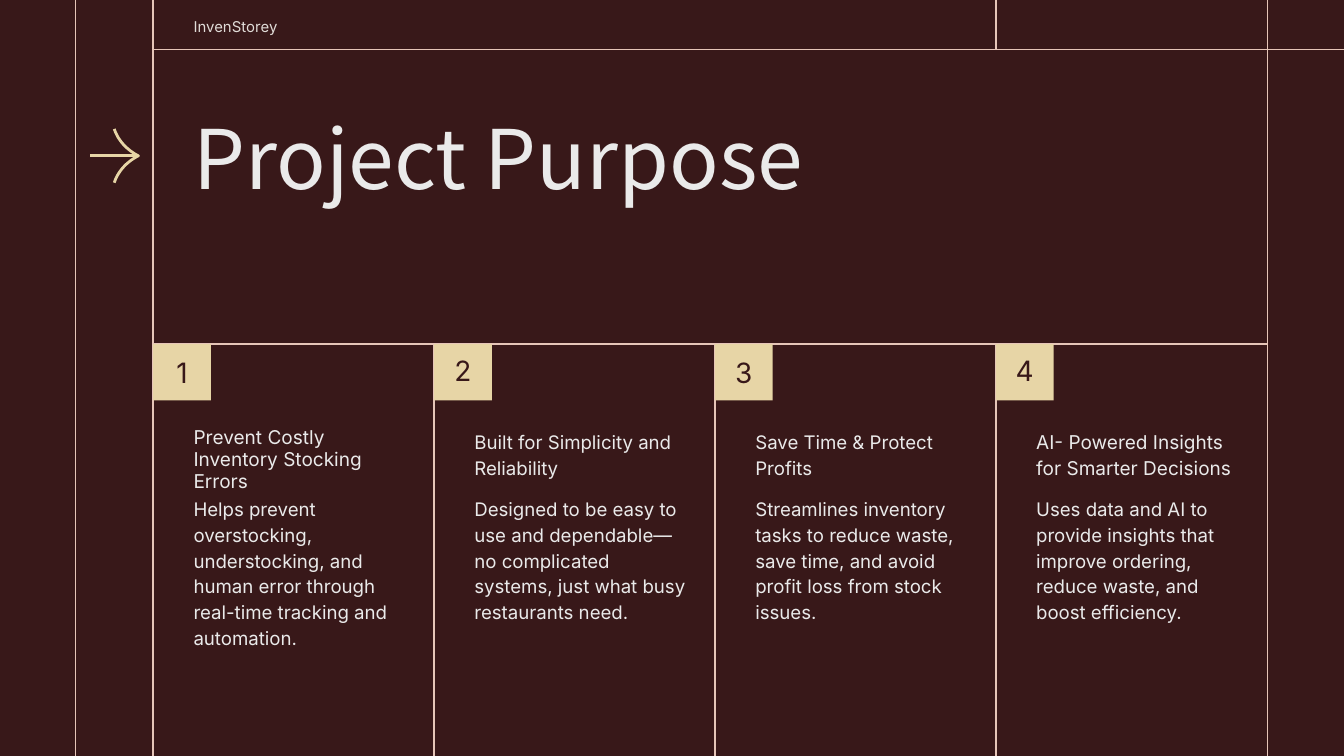
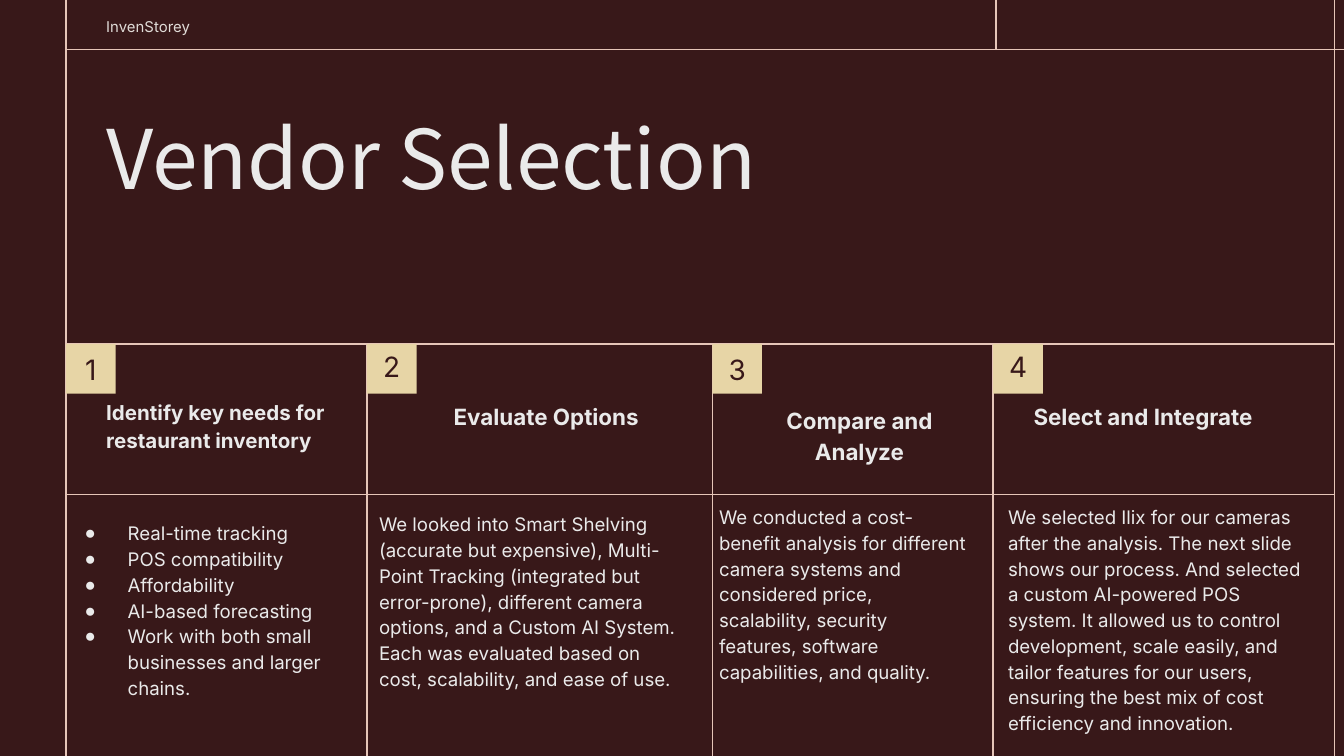
"""Builds the Project Purpose and Vendor Selection slides of the InvenStorey deck."""
from lxml.etree import SubElement
from pptx import Presentation
from pptx.dml.color import RGBColor
from pptx.enum.shapes import MSO_CONNECTOR, MSO_SHAPE
from pptx.enum.text import MSO_ANCHOR, MSO_AUTO_SIZE, PP_ALIGN
from pptx.oxml.ns import qn
from pptx.util import Inches, Pt

MAROON = RGBColor(0x38, 0x18, 0x19)
ROSE = RGBColor(0xE6, 0xC5, 0xB8)
SAND = RGBColor(0xE7, 0xD5, 0xA6)
PALE = RGBColor(0xEA, 0xEA, 0xEA)
STONE = RGBColor(0xE1, 0xDC, 0xD8)

TEXT_FONT = "Inter"
TITLE_FONT = "Noto Sans CJK KR"
WIDTH = 10
HEIGHT = WIDTH * 9 / 16
HEADER_BOTTOM, GRID_TOP, HEADER_TICK = 0.37, 2.56, 7.41
TITLE_ONLY, TITLE_AND_BODY = 5, 1

PURPOSE_EDGES = [1.14, 3.23, 5.32, 7.41, 9.43]
PURPOSES = [
    ("Prevent Costly Inventory Stocking Errors", 10.2, 0.95,
     "Helps prevent overstocking, understocking, and human error through "
     "real-time tracking and automation."),
    ("Built for Simplicity and Reliability", 10, 1.15,
     "Designed to be easy to use and dependable—no complicated systems, "
     "just what busy restaurants need."),
    ("Save Time & Protect Profits", 10, 1.15,
     "Streamlines inventory tasks to reduce waste, save time, and avoid "
     "profit loss from stock issues."),
    ("AI- Powered Insights for Smarter Decisions", 10.2, 1.15,
     "Uses data and AI to provide insights that improve ordering, reduce "
     "waste, and boost efficiency."),
]

VENDOR_EDGES = [0.49, 2.73, 5.3, 7.39, 9.93]
VENDOR_HEADINGS = [
    ("Identify key needs for restaurant inventory", 11, PP_ALIGN.LEFT, 0.39),
    ("Evaluate Options", 12, PP_ALIGN.CENTER, 0.41),
    ("Compare and Analyze", 12, PP_ALIGN.CENTER, 0.44),
    ("Select and Integrate", 12, PP_ALIGN.LEFT, 0.41),
]
NEEDS = [
    "Real-time tracking",
    "POS compatibility",
    "Affordability",
    "AI-based forecasting",
    "Work with both small businesses and larger chains.",
]
VENDOR_NOTES = [
    ((2.52, 3.41, 2.78, 2.11), MSO_ANCHOR.MIDDLE,
     "We looked into Smart Shelving (accurate but expensive), Multi-Point "
     "Tracking (integrated but error-prone), different camera options, and a "
     "Custom AI System. Each was evaluated based on cost, scalability, and "
     "ease of use."),
    ((5.05, 3.74, 2.35, 1.94), MSO_ANCHOR.TOP,
     "We conducted a cost-benefit analysis for different camera systems and "
     "considered price, scalability, security features, software "
     "capabilities, and quality."),
    ((7.2, 3.74, 2.72, 1.94), MSO_ANCHOR.TOP,
     "We selected Ilix for our cameras after the analysis. The next slide "
     "shows our process. And selected a custom AI-powered POS system. It "
     "allowed us to control development, scale easily, and tailor features "
     "for our users, ensuring the best mix of cost efficiency and "
     "innovation."),
]


def add_bullet(paragraph):
    """Gives a paragraph a hanging round bullet."""
    properties = paragraph._p.get_or_add_pPr()
    properties.set("marL", str(Inches(0.5)))
    properties.set("indent", str(Inches(-0.32)))
    color = SubElement(properties, qn("a:buClr"))
    SubElement(color, qn("a:srgbClr")).set("val", str(PALE))
    SubElement(properties, qn("a:buChar")).set("char", "●")


def write_text(shape, *lines, size=10, color=PALE, font=TEXT_FONT, bold=False,
               align=PP_ALIGN.LEFT, anchor=MSO_ANCHOR.TOP, spacing=1.15,
               insets=(0.3, 0, 0.2, 0), bullets=False):
    """Writes one paragraph per line into the shape."""
    frame = shape.text_frame
    frame.word_wrap = True
    frame.auto_size = MSO_AUTO_SIZE.NONE
    frame.vertical_anchor = anchor
    (frame.margin_left, frame.margin_top,
     frame.margin_right, frame.margin_bottom) = map(Inches, insets)
    for index, line in enumerate(lines):
        paragraph = frame.add_paragraph() if index else frame.paragraphs[0]
        if bullets:
            add_bullet(paragraph)
        paragraph.alignment = align
        paragraph.line_spacing = spacing
        paragraph.space_before = Pt(0)
        run = paragraph.add_run()
        run.text = line
        run.font.size = Pt(size)
        run.font.name = font
        run.font.bold = bold
        run.font.color.rgb = color


class Deck:
    """Holds the presentation, its style and the current slide."""

    def __init__(self):
        """Starts an empty widescreen deck."""
        self.presentation = Presentation()
        self.presentation.slide_width = Inches(WIDTH)
        self.presentation.slide_height = Inches(HEIGHT)
        self.slide = None

    def start_slide(self, layout, title, title_box, edges):
        """Adds a slide with its grid, header and title."""
        layouts = self.presentation.slide_layouts
        self.slide = self.presentation.slides.add_slide(layouts[layout])
        background = self.slide.background.fill
        background.solid()
        background.fore_color.rgb = MAROON
        left, *dividers, right = edges
        self.line(HEADER_TICK, 0, HEADER_TICK, HEADER_BOTTOM)
        self.line(left, HEADER_BOTTOM, WIDTH, HEADER_BOTTOM)
        self.line(left, GRID_TOP, right, GRID_TOP)
        for x in (left, right):
            self.line(x, 0, x, HEIGHT)
        for x in dividers:
            self.line(x, GRID_TOP, x, HEIGHT)
        self.text((left, 0, 3.2, HEADER_BOTTOM), "InvenStorey", size=8,
                  color=STONE, anchor=MSO_ANCHOR.MIDDLE,
                  insets=(0.3, 0.1, 0.1, 0.1))
        self.placeholder(0, title_box, title, size=44, font=TITLE_FONT,
                         spacing=0.8, insets=(0.3, 0.1, 0.1, 0.1))

    def placeholder(self, index, box, *lines, **style):
        """Moves and fills a template placeholder."""
        holder = self.slide.placeholders[index]
        holder.left, holder.top, holder.width, holder.height = map(Inches, box)
        write_text(holder, *lines, **style)

    def text(self, box, *lines, outlined=False, **style):
        """Adds a text box, with a thin outline if wanted."""
        text_box = self.slide.shapes.add_textbox(*map(Inches, box))
        if outlined:
            text_box.line.color.rgb = ROSE
            text_box.line.width = Pt(0.75)
        write_text(text_box, *lines, **style)

    def line(self, x1, y1, x2, y2, color=ROSE, weight=0.75):
        """Draws a straight line without a shadow."""
        connector = self.slide.shapes.add_connector(
            MSO_CONNECTOR.STRAIGHT, *map(Inches, (x1, y1, x2, y2)))
        connector.line.color.rgb = color
        connector.line.width = Pt(weight)
        SubElement(connector._element.spPr, qn("a:effectLst"))

    def badges(self, edges, width, height):
        """Puts a numbered square at the top left of each column."""
        for number, left in enumerate(edges[:-1], 1):
            badge = self.slide.shapes.add_shape(
                MSO_SHAPE.RECTANGLE,
                *map(Inches, (left, GRID_TOP, width, height)))
            badge.shadow.inherit = False
            badge.fill.solid()
            badge.fill.fore_color.rgb = SAND
            badge.line.fill.background()
            write_text(badge, str(number), size=15, color=MAROON,
                       align=PP_ALIGN.CENTER, anchor=MSO_ANCHOR.MIDDLE,
                       spacing=1 if number % 2 else 0.9,
                       insets=(0.1, 0, 0.1, 0))

    def arrow(self, tail, tip, middle):
        """Draws an arrow with a curved open head."""
        self.line(tail, middle, tip, middle, SAND, 1.5)
        steps = 12
        barb = []
        for step in range(steps + 1):
            t = step / steps
            weights = ((1 - t) ** 3, 3 * t * (1 - t) ** 2,
                       3 * t ** 2 * (1 - t), t ** 3)
            back = sum(w * d for w, d in zip(weights, (0.18, 0.15, 0.08, 0)))
            rise = sum(w * d for w, d in zip(weights, (0.2, 0.11, 0.04, 0)))
            barb.append((back, rise))
        head = barb + [(back, -rise) for back, rise in barb[-2::-1]]
        points = [(Inches(tip - back), Inches(middle - rise))
                  for back, rise in head]
        builder = self.slide.shapes.build_freeform(*points[0])
        builder.add_line_segments(points[1:], close=False)
        outline = builder.convert_to_shape()
        outline.shadow.inherit = False
        outline.fill.background()
        outline.line.color.rgb = SAND
        outline.line.width = Pt(1.5)

    def save(self):
        """Saves the deck."""
        self.presentation.save("out.pptx")


def build_purpose(deck):
    """Builds the Project Purpose slide."""
    deck.start_slide(TITLE_ONLY, "Project Purpose", (1.14, 0.84, 6.26, 1.72),
                     PURPOSE_EDGES)
    deck.line(0.56, 0, 0.56, HEIGHT)
    deck.arrow(0.67, 1.03, 1.16)
    columns = zip(PURPOSE_EDGES, PURPOSE_EDGES[1:], PURPOSES)
    for left, right, (heading, size, spacing, detail) in columns:
        width = right - left
        deck.text((left, 2.98, width, 0.7), heading, size=size,
                  spacing=spacing, insets=(0.3, 0.2, 0.2, 0))
        deck.text((left, 3.68, width, 1.41), detail)
    deck.badges(PURPOSE_EDGES, 0.43, 0.42)


def build_vendor(deck):
    """Builds the Vendor Selection slide."""
    deck.start_slide(TITLE_AND_BODY, "Vendor Selection", (0.49, 0.84, 6.71, 1),
                     VENDOR_EDGES)
    columns = zip(VENDOR_EDGES, VENDOR_EDGES[1:], VENDOR_HEADINGS)
    for left, right, (heading, size, align, drop) in columns:
        deck.text((left, GRID_TOP, right - left, 1.12), heading, size=size,
                  bold=True, align=align, outlined=True,
                  insets=(0.3, drop, 0.2, 0))
    deck.placeholder(1, (0.15, 3.68, 2.57, 1.9), *NEEDS, bullets=True,
                     insets=(0.3, 0.18, 0.2, 0))
    for box, anchor, note in VENDOR_NOTES:
        deck.text(box, note, anchor=anchor)
    deck.badges(VENDOR_EDGES, 0.37, 0.37)


def main():
    """Builds and saves both slides."""
    deck = Deck()
    build_purpose(deck)
    build_vendor(deck)
    deck.save()


if __name__ == "__main__":
    main()
